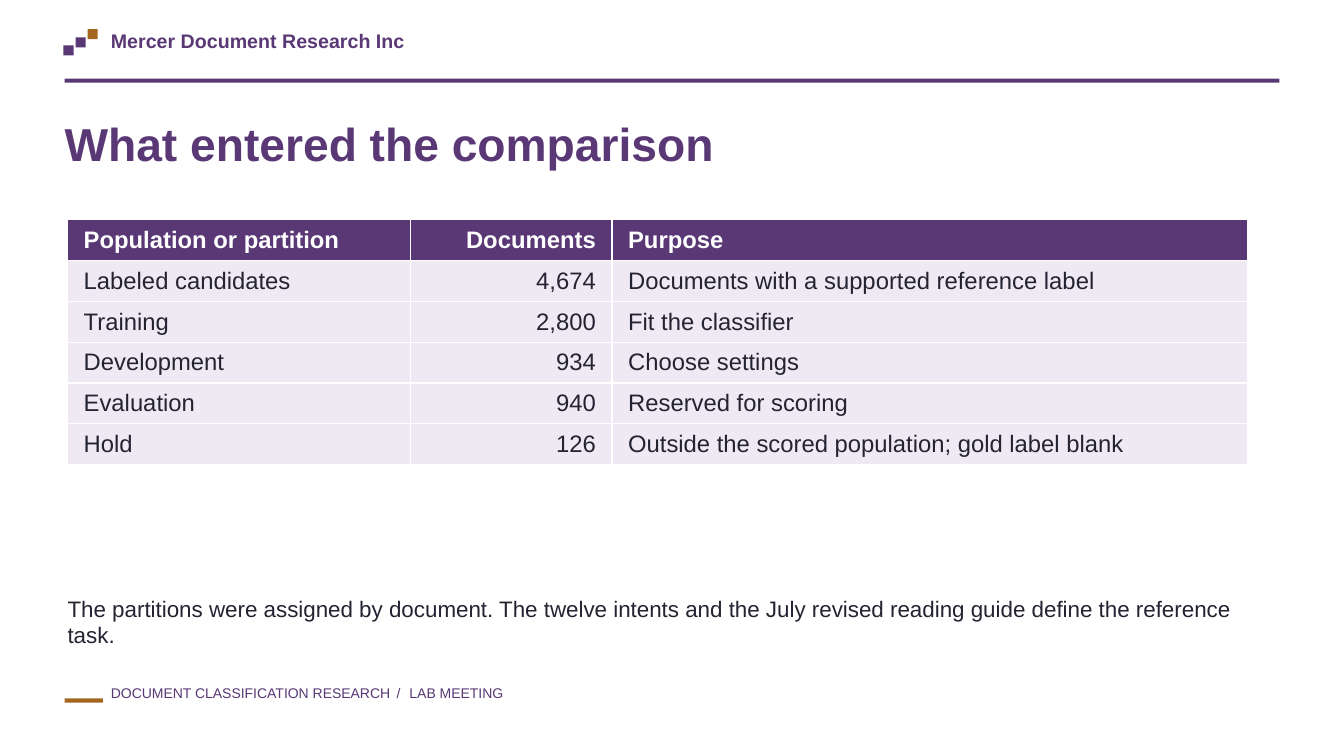
from pptx import Presentation
from pptx.dml.color import RGBColor
from pptx.enum import shapes, text
from pptx.util import Inches, Pt

PURPLE = RGBColor(0x59, 0x38, 0x75)
OCHRE = RGBColor(0xA5, 0x67, 0x20)
LILAC = RGBColor(0xEF, 0xE9, 0xF4)
INK = RGBColor(0x24, 0x23, 0x31)
WHITE = RGBColor(0xFF, 0xFF, 0xFF)

COLUMNS = [3.4, 2, 6.3]
ROWS = [
    ("Population or partition", "Documents", "Purpose"),
    ("Labeled candidates", "4,674", "Documents with a supported reference label"),
    ("Training", "2,800", "Fit the classifier"),
    ("Development", "934", "Choose settings"),
    ("Evaluation", "940", "Reserved for scoring"),
    ("Hold", "126", "Outside the scored population; gold label blank"),
]


def add_run(p, words, size=16, color=INK, bold=False, spacing=0):
    """Add a formatted run, with optional letter spacing in points."""
    r = p.add_run()
    r.text = words
    r.font.name = "Arial"
    r.font.size = Pt(size)
    r.font.bold = bold
    r.font.color.rgb = color
    if spacing:
        r.font._element.set("spc", str(round(spacing * 100)))


def add_bar(s, x, y, w, h, color):
    """Draw a plain filled rectangle."""
    sp = s.shapes.add_shape(shapes.MSO_SHAPE.RECTANGLE,
                            Inches(x), Inches(y), Inches(w), Inches(h))
    sp.shadow.inherit = False
    sp.fill.solid()
    sp.fill.fore_color.rgb = color
    sp.line.fill.background()


def add_text(s, x, y, w, h, *runs, wrap=True, after=0, **style):
    """Place a one-paragraph text box; each run is words or (words, spacing)."""
    tf = s.shapes.add_textbox(Inches(x), Inches(y), Inches(w), Inches(h)).text_frame
    tf.margin_left = tf.margin_top = tf.margin_right = tf.margin_bottom = 0
    tf.word_wrap = wrap
    p = tf.paragraphs[0]
    p.space_after = Pt(after)
    for run in runs:
        words, spacing = (run, 0) if isinstance(run, str) else run
        add_run(p, words, spacing=spacing, **style)


def add_header(s, x, y, w):
    """Draw the stepped mark, the organisation name and the rule."""
    for i, color in enumerate([PURPLE, PURPLE, OCHRE]):
        add_bar(s, x - 0.01 + 0.12 * i, y + 0.16 - 0.08 * i, 0.1, 0.1, color)
    add_text(s, x + 0.46, y, 3.1, 0.3, "Mercer Document Research Inc",
             wrap=False, size=14, color=PURPLE, bold=True)
    add_bar(s, x, y + 0.49, w, 0.04, PURPLE)


def add_footer(s, x, y):
    """Draw the footer dash and the footer label."""
    add_bar(s, x, y + 0.14, 0.38, 0.04, OCHRE)
    add_text(s, x + 0.46, y, 4.3, 0.35, "DOCUMENT CLASSIFICATION RESEARCH",
             (" / ", 1.85), "LAB MEETING", wrap=False, size=10, color=PURPLE)


def add_partition_table(s, x, y, w, h):
    """Fill the table of populations and partitions."""
    table = s.shapes.add_table(len(ROWS), len(COLUMNS), Inches(x), Inches(y),
                               Inches(w), Inches(h)).table
    table.horz_banding = False
    for column, width in zip(table.columns, COLUMNS):
        column.width = Inches(width)
    for i, row in enumerate(ROWS):
        head = i == 0
        for j, words in enumerate(row):
            cell = table.cell(i, j)
            cell.fill.solid()
            cell.fill.fore_color.rgb = PURPLE if head else LILAC
            cell.vertical_anchor = text.MSO_ANCHOR.MIDDLE
            cell.margin_left = cell.margin_right = Inches(0.16)
            cell.margin_top = cell.margin_bottom = Inches(0.05)
            p = cell.text_frame.paragraphs[0]
            p.alignment = text.PP_ALIGN.RIGHT if j == 1 else text.PP_ALIGN.LEFT
            add_run(p, words, size=17, color=WHITE if head else INK, bold=head)


def main():
    """Build the slide and save it."""
    prs = Presentation()
    prs.slide_width, prs.slide_height = Inches(13.33), Inches(7.5)
    s = prs.slides.add_slide(prs.slide_layouts[6])
    add_header(s, 0.64, 0.29, 12.05)
    add_footer(s, 0.64, 6.79)
    add_text(s, 0.64, 1.14, 12.04, 0.82, "What entered the comparison",
             after=8, size=33, color=PURPLE, bold=True)
    add_partition_table(s, 0.67, 2.18, sum(COLUMNS), 2.43)
    add_text(s, 0.67, 5.9, 11.99, 0.58,
             "The partitions were assigned by document. The twelve intents and "
             "the July revised reading guide define the reference task.", after=8)
    prs.save("out.pptx")


if __name__ == "__main__":
    main()
